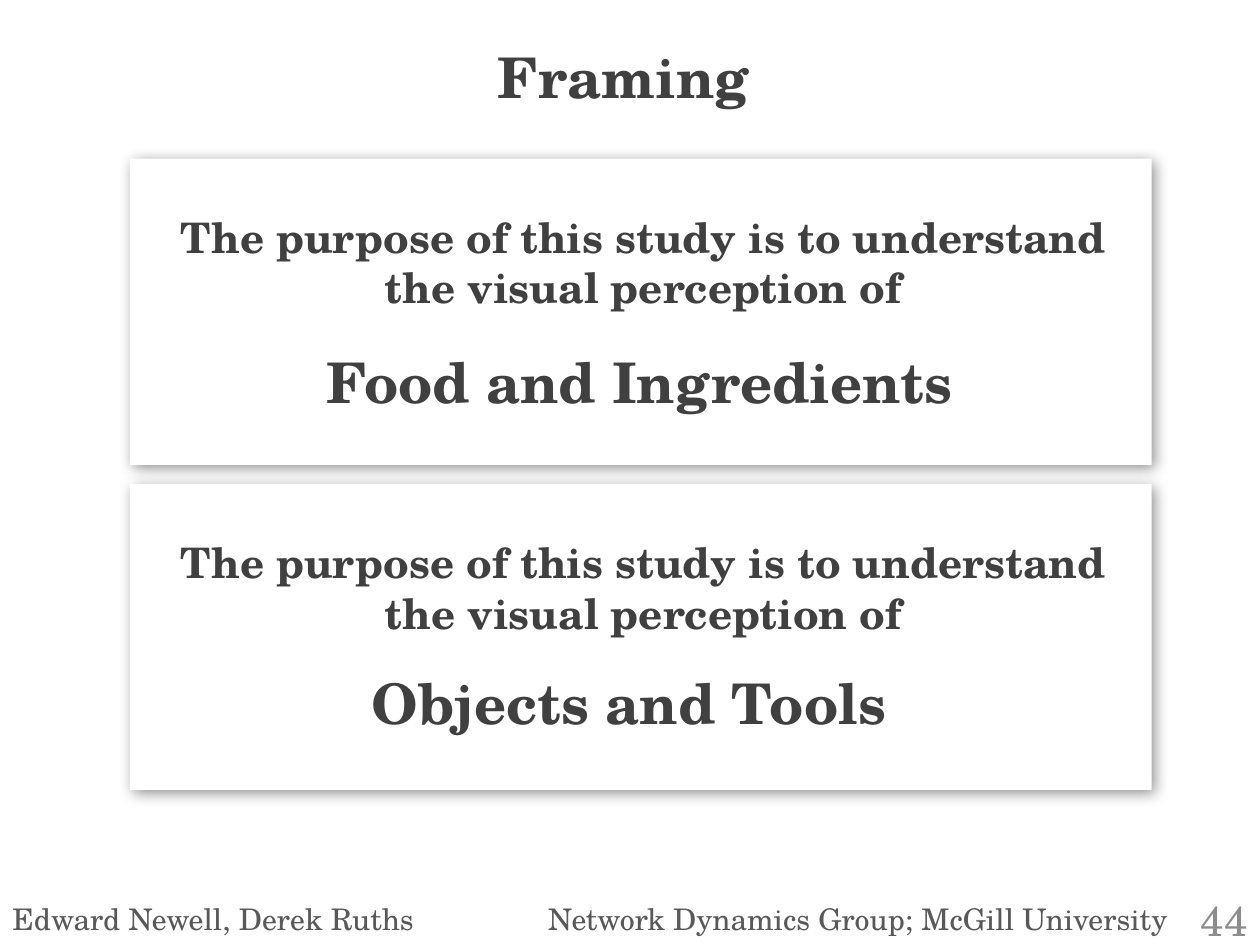
from lxml import etree
from pptx import Presentation
from pptx.dml.color import RGBColor
from pptx.enum.shapes import MSO_SHAPE as Shape
from pptx.enum.text import MSO_ANCHOR as Anchor, MSO_AUTO_SIZE as AutoSize, PP_ALIGN as Align
from pptx.oxml import parse_xml
from pptx.oxml.ns import nsdecls, qn
from pptx.util import Inches, Pt

WHITE = RGBColor(0xFF, 0xFF, 0xFF)
DARK = RGBColor(0x40, 0x40, 0x40)
GREY = RGBColor(0x59, 0x59, 0x59)
PALE = RGBColor(0x8C, 0x8C, 0x8C)
FONT = "TeX Gyre Schola"
COLUMNS, ROWS = 100, 75
PURPOSE = "The purpose of this study is to understand the visual perception of"
PANELS = [
    ("Food and Ingredients", 12.6, 24.9, 14.5, 52.2),
    ("Objects and Tools", 38.4, 28.5, 14.2, 45.5),
]
SHADOW = (
    f'<a:effectLst {nsdecls("a")}><a:outerShdw blurRad="{Pt(8.8)}" dist="{Pt(3)}" '
    'dir="2700000" algn="tl" rotWithShape="0"><a:srgbClr val="000000">'
    '<a:alpha val="43000"/></a:srgbClr></a:outerShdw></a:effectLst>'
)


def write(box, text, size=24, color=DARK, bold=True, align=Align.LEFT,
          anchor=Anchor.TOP, right_tab=None):
    frame = box.text_frame
    frame.word_wrap = True
    frame.auto_size = AutoSize.NONE
    frame.vertical_anchor = anchor
    para = frame.paragraphs[0]
    para.alignment = align
    if right_tab is not None:
        tabs = etree.SubElement(para._p.get_or_add_pPr(), qn("a:tabLst"))
        etree.SubElement(tabs, qn("a:tab"), pos=str(right_tab), algn="r")
    span = para.add_run()
    span.text = text
    span.font.name = FONT
    span.font.size = Pt(size)
    span.font.bold = bold
    span.font.color.rgb = color


class FramingSlide:
    def __init__(self, deck):
        self.column = deck.slide_width / COLUMNS
        self.row = deck.slide_height / ROWS
        self.page = deck.slides.add_slide(deck.slide_layouts[5])

    def place(self, left, top, width, height):
        return (round(left * self.column), round(top * self.row),
                round(width * self.column), round(height * self.row))

    def title(self, text, *area):
        box = self.page.shapes.title
        box.left, box.top, box.width, box.height = self.place(*area)
        write(box, text, size=32, align=Align.CENTER)

    def text(self, text, *area, **style):
        box = self.page.shapes.add_textbox(*self.place(*area))
        write(box, text, **style)

    def panel(self, *area):
        box = self.page.shapes.add_shape(Shape.RECTANGLE, *self.place(*area))
        box.fill.solid()
        box.fill.fore_color.rgb = WHITE
        box.line.fill.background()
        box._element.spPr.append(parse_xml(SHADOW))


def main():
    deck = Presentation()
    deck.slide_width, deck.slide_height = Inches(10), Inches(7.5)
    slide = FramingSlide(deck)
    slide.text("Edward Newell, Derek Ruths\tNetwork Dynamics Group; McGill University",
               0, 71, 95.5, 3.9, size=17, color=GREY, bold=False, right_tab=Inches(9.17))
    slide.text("44", 93.3, 71, 6.7, 4, size=24, color=PALE, bold=False,
               align=Align.RIGHT, anchor=Anchor.MIDDLE)
    slide.title("Framing", 28.5, 2.9, 41.9, 6.4)
    for topic, top, left, drop, width in PANELS:
        slide.panel(10.3, top, 81.1, 24.3)
        slide.text(PURPOSE, 13.2, top + 3.7, 75.7, 9.1, align=Align.CENTER)
        slide.text(topic, left, top + drop, width, 11.8, size=32)
    deck.save("out.pptx")


if __name__ == "__main__":
    main()
